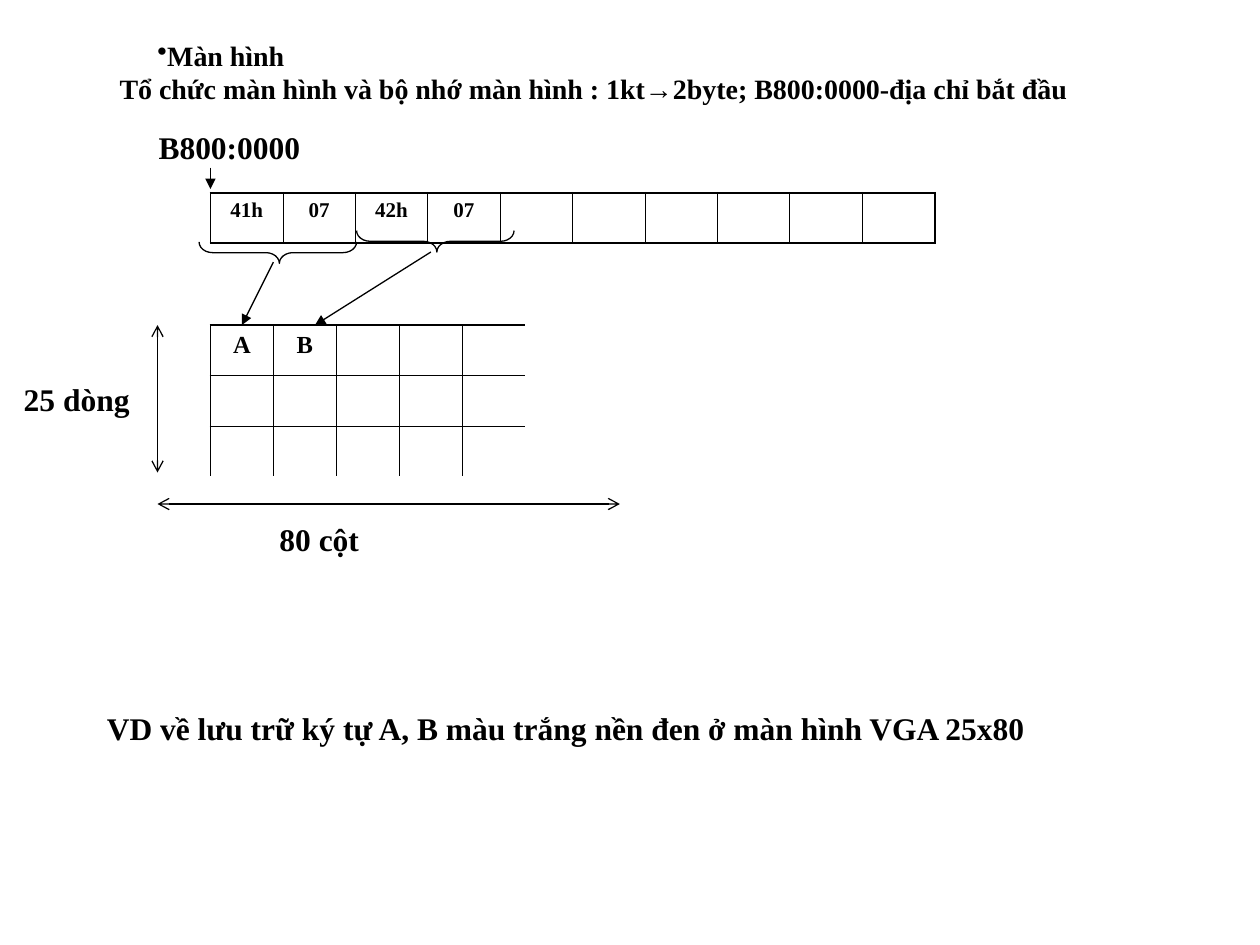
from pptx import Presentation
from pptx.dml.color import RGBColor
from pptx.enum.shapes import MSO_CONNECTOR, MSO_SHAPE
from pptx.enum.text import MSO_ANCHOR, MSO_AUTO_SIZE, PP_ALIGN
from pptx.oxml.ns import qn
from pptx.util import Inches, Pt
from lxml.etree import SubElement, Element

BLACK = RGBColor(0, 0, 0)
THIN, THICK = 0.45, 1.08


def style(obj, form):
    for key, val in form.items():
        setattr(obj, key, val)


def write(para, text, size, align=None):
    run = para.add_run()
    run.text = text
    style(run.font, dict(name="Times New Roman", size=Pt(size), bold=True))
    run.font.color.rgb = BLACK
    if align is not None:
        para.alignment = align


def label(slide, box, lines, size=18, align=None, anchor=MSO_ANCHOR.TOP):
    frame = slide.shapes.add_textbox(*map(Inches, box)).text_frame
    style(frame, dict(word_wrap=False, vertical_anchor=anchor,
                      auto_size=MSO_AUTO_SIZE.SHAPE_TO_FIT_TEXT))
    for i, line in enumerate(lines):
        para = frame.add_paragraph() if i else frame.paragraphs[0]
        write(para, line, size, align)
    return frame


def heading(slide, box):
    frame = label(slide, box, [
        "Màn hình",
        "Tổ chức màn hình và bộ nhớ màn hình : 1kt→2byte; B800:0000-địa chỉ bắt đầu",
    ], 16, PP_ALIGN.JUSTIFY, MSO_ANCHOR.MIDDLE)
    props = frame.paragraphs[0]._p.get_or_add_pPr()
    props.set("marL", "0")
    props.set("indent", str(Inches(0.3)))
    SubElement(props, qn("a:buChar"), char="•")


def arrow(slide, start, end, tail="triangle", head=None):
    line = slide.shapes.add_connector(
        MSO_CONNECTOR.STRAIGHT, *map(Inches, start + end))
    line.line.color.rgb = BLACK
    line.line.width = Pt(0.75)
    ends = line.line._get_or_add_ln()
    for tag, kind in (("a:headEnd", head), ("a:tailEnd", tail)):
        if kind:
            SubElement(ends, qn(tag), type=kind)
    SubElement(line._element.spPr, qn("a:effectLst"))


def brace(slide, box):
    left, top, width, height = box
    shape = slide.shapes.add_shape(
        MSO_SHAPE.LEFT_BRACE, Inches(left + (width - height) / 2),
        Inches(top + (height - width) / 2), Inches(height), Inches(width))
    shape.rotation = 270
    shape.adjustments[0] = 0.63
    shape.adjustments[1] = 0.51
    shape.shadow.inherit = False
    shape.fill.background()
    shape.line.color.rgb = BLACK
    shape.line.width = Pt(0.75)


def border(cell, sides):
    cell.fill.background()
    props = cell._tc.get_or_add_tcPr()
    for i, (side, width) in enumerate(zip("LRTB", sides)):
        edge = Element(qn("a:ln" + side), w=str(Pt(width)))
        if width:
            fill = SubElement(edge, qn("a:solidFill"))
            SubElement(fill, qn("a:srgbClr"), val=str(BLACK))
        else:
            SubElement(edge, qn("a:noFill"))
        props.insert(i, edge)


def grid(slide, box, rows, cols, texts, size, outer):
    table = slide.shapes.add_table(rows, cols, *map(Inches, box)).table
    style(table, dict(first_row=False, horz_banding=False))
    left, right, top, base = outer
    for r in range(rows):
        for c in range(cols):
            border(table.cell(r, c), (
                THIN if c else left, THIN if c < cols - 1 else right,
                THIN if r else top, THIN if r < rows - 1 else base))
    for c, text in enumerate(texts):
        write(table.cell(0, c).text_frame.paragraphs[0], text, size,
              PP_ALIGN.CENTER)


def memory(slide, box):
    left, top, width, height = box
    label(slide, (left - 0.51, top - 0.56, 1.42, 0.4), ["B800:0000"])
    arrow(slide, (left, top - 0.2), (left, top - 0.03))
    grid(slide, box, 1, 10, ["41h", "07", "42h", "07"], 12, (THICK,) * 4)
    for x, y in ((-0.09, 0.39), (1.16, 0.3)):
        brace(slide, (left + x, top + y, 1.25, 0.17))


def screen(slide, box):
    left, top, width, height = box
    grid(slide, box, 3, 5, ["A", "B"], 14, (THICK, 0, THICK, 0))
    arrow(slide, (left + 0.5, top - 0.5), (left + 0.25, top))
    arrow(slide, (left + 1.75, top - 0.58), (left + 0.83, top))
    side, base = left - 0.42, top + 1.42
    arrow(slide, (side, top), (side, top + 1.17), "arrow", "arrow")
    arrow(slide, (side, base), (side + 3.67, base), "arrow", "arrow")
    label(slide, (side - 1.16, top + 0.39, 1.16, 0.4), ["25 dòng"])
    label(slide, (left + 0.45, base + 0.08, 0.93, 0.4), ["80 cột"])


def main():
    deck = Presentation()
    style(deck, dict(slide_width=Inches(10), slide_height=Inches(7.5)))
    slide = deck.slides.add_slide(deck.slide_layouts[6])
    heading(slide, (0.85, 0.25, 7.72, 0.64))
    memory(slide, (1.67, 1.53, 5.75, 0.3))
    screen(slide, (1.67, 2.58, 2.5, 1))
    label(slide, (0.75, 5.58, 8.6, 0.4),
          ["VD về lưu trữ ký tự A, B màu trắng nền đen ở màn hình VGA 25x80"])
    deck.save("out.pptx")


if __name__ == "__main__":
    main()
